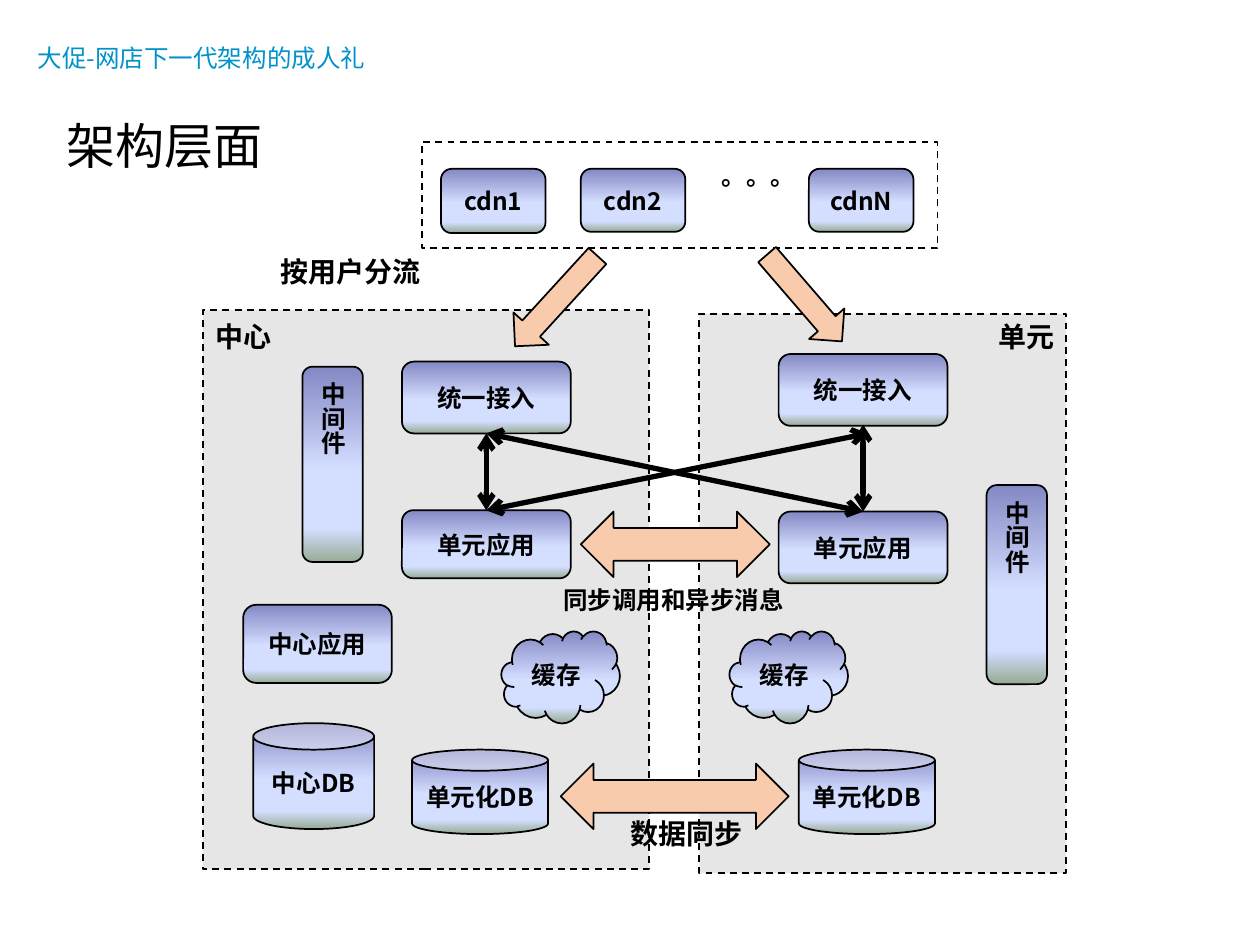
import pptx
import pptx.util
from lxml import etree
from pptx.dml.color import RGBColor
from pptx.enum.dml import MSO_LINE
from pptx.enum.shapes import MSO_CONNECTOR, MSO_SHAPE
from pptx.enum.text import MSO_ANCHOR, MSO_AUTO_SIZE, PP_ALIGN
from pptx.oxml.ns import qn
from pptx.util import Inches, Pt

FONT = "Noto Sans CJK SC"
COLORS = {
    "ink": "000000", "head": "0092CA", "zone": "E7E6E6", "arrow": "F8CBAD",
    "top": "8488C4", "mid": "D4DEFF", "end": "96AB94",
}
STOPS = [(0, "top"), (53, "mid"), (83, "mid"), (100, "end")]
ROUND, CAN, CLOUD = MSO_SHAPE.ROUNDED_RECTANGLE, MSO_SHAPE.CAN, MSO_SHAPE.CLOUD


def rgb(name):
    return RGBColor.from_string(COLORS[name])


def write(frame, text, size, color="ink", bold=True, align=PP_ALIGN.LEFT):
    para = frame.paragraphs[0]
    para.alignment = align
    run = para.add_run()
    run.text = text
    font = run.font
    font.name, font.size, font.bold = FONT, Pt(size), bold
    font.color.rgb = rgb(color)
    etree.SubElement(run._r.get_or_add_rPr(), qn("a:ea")).set("typeface", FONT)
    return para


def label(slide, box, text, size=16, color="ink", bold=True, wrap=False):
    frame = slide.shapes.add_textbox(*map(Inches, box)).text_frame
    frame.word_wrap = wrap
    write(frame, text, size, color, bold)


def add_box(slide, kind, box, fill=None, dash=False):
    """Add an outlined shape with a plain fill, or none."""
    shape = slide.shapes.add_shape(kind, *map(Inches, box))
    shape.shadow.inherit = False
    shape.line.color.rgb = rgb("ink")
    shape.line.width = Pt(1)
    if dash:
        shape.line.dash_style = MSO_LINE.DASH
    if fill:
        shape.fill.solid()
        shape.fill.fore_color.rgb = rgb(fill)
    else:
        shape.fill.background()
    return shape


def shade(shape):
    """Fill from top to bottom with the four stops."""
    shape.fill.gradient()
    shape.fill.gradient_angle = 270
    stops = shape._element.spPr.find(".//" + qn("a:gsLst"))
    for old in list(stops):
        stops.remove(old)
    for pos, name in STOPS:
        stop = etree.SubElement(stops, qn("a:gs"), pos=str(pos * 1000))
        etree.SubElement(stop, qn("a:srgbClr"), val=COLORS[name])


def add_node(slide, kind, box, text, upright=False):
    shape = add_box(slide, kind, box)
    shade(shape)
    frame = shape.text_frame
    frame.word_wrap = True
    frame.vertical_anchor = MSO_ANCHOR.MIDDLE
    if upright:
        frame._txBody.bodyPr.set("vert", "eaVert")
    write(frame, text, 14, align=PP_ALIGN.LEFT if upright else PP_ALIGN.CENTER)


def add_link(slide, start, end):
    """Add a thick line with an arrowhead at both ends."""
    link = slide.shapes.add_connector(
        MSO_CONNECTOR.STRAIGHT, *map(Inches, start + end))
    link.line.color.rgb = rgb("ink")
    link.line.width = Pt(3)
    line = link.line._get_or_add_ln()
    for tag in ("a:headEnd", "a:tailEnd"):
        etree.SubElement(line, qn(tag), type="arrow")
    etree.SubElement(link._element.spPr, qn("a:effectLst"))


def add_head(slide, box):
    x, y, w, h = box
    label(slide, (x, y, 2.89, 0.34), "大促-网店下一代架构的成人礼",
          14, "head", False, True)
    title = slide.shapes.title
    title.left, title.top = Inches(x + 0.23), Inches(y + 0.63)
    title.width, title.height = Inches(w), Inches(h)
    frame = title.text_frame
    frame.word_wrap = True
    frame.auto_size = MSO_AUTO_SIZE.NONE
    frame.vertical_anchor = MSO_ANCHOR.TOP
    para = write(frame, "架构层面", 28, bold=False)
    para.line_spacing = 0.9
    para.space_before = Pt(10)


def add_zone(slide, box, name, spot, parts):
    """Add a dashed zone, its name at spot, and its parts."""
    x, y = box[:2]
    add_box(slide, MSO_SHAPE.RECTANGLE, box, "zone", True)
    dx, dy, w, h = spot
    label(slide, (x + dx, y + dy, w, h), name, wrap=w > 0.7)
    for kind, text, (dx, dy, w, h) in parts:
        add_node(slide, kind, (x + dx, y + dy, w, h), text, text == "中间件")


def add_cdns(slide, box):
    x, y = box[:2]
    add_box(slide, MSO_SHAPE.RECTANGLE, box, dash=True)
    for text, dx, h in [("cdn1", 0.15, 0.51), ("cdn2", 1.26, 0.5),
                        ("cdnN", 3.07, 0.5)]:
        add_node(slide, ROUND, (x + dx, y + 0.21, 0.83, h), text)
    label(slide, (x + 2.28, y + 0.1, 0.79, 0.34), "。。。", 14)


def add_flows(slide, box):
    """Add the block arrows, their labels and the cross links."""
    x, y = box[:2]
    left, both = MSO_SHAPE.LEFT_ARROW, MSO_SHAPE.LEFT_RIGHT_ARROW
    for kind, turn, (dx, dy, w, h) in [
            (left, 229.2, (4.32, -0.28, 0.91, 0.37)),
            (left, 312.4, (2.32, -0.26, 0.97, 0.38)),
            (both, 0, (2.84, 3.6, 1.81, 0.52)),
            (both, 0, (3, 1.6, 1.5, 0.52))]:
        add_box(slide, kind, (x + dx, y + dy, w, h), "arrow").rotation = turn
    for text, size, (dx, dy, w, h) in [
            ("按用户分流", 16, (0.52, -0.49, 1.34, 0.37)),
            ("同步调用和异步消息", 14, (2.76, 2.13, 1.98, 0.34)),
            ("数据同步", 16, (3.3, 3.97, 1.1, 0.37))]:
        label(slide, (x + dx, y + dy, w, h), text, size)
    near, far = x + 2.25, x + 5.24
    for start, end in [((near, y + 0.98), (near, y + 1.59)),
                       ((near, y + 0.98), (far, y + 1.6)),
                       ((far + 0.04, y + 0.98), (near, y + 1.59)),
                       ((far, y + 0.91), (far, y + 1.6))]:
        add_link(slide, start, end)


def main():
    deck = pptx.Presentation()
    deck.slide_width, deck.slide_height = Inches(10), Inches(7.5)
    slide = deck.slides.add_slide(deck.slide_layouts[5])
    add_head(slide, (0.2, 0.29, 9.21, 6.19))
    add_zone(slide, (5.55, 2.49, 2.91, 4.44), "单元", (2.28, 0, 0.75, 0.37), [
        (ROUND, "统一接入", (0.63, 0.32, 1.34, 0.57)),
        (ROUND, "单元应用", (0.63, 1.57, 1.34, 0.57)),
        (ROUND, "中间件", (2.28, 1.36, 0.48, 1.58)),
        (CLOUD, "缓存", (0.24, 2.52, 0.94, 0.73)),
        (CAN, "单元化DB", (0.79, 3.46, 1.08, 0.67)),
    ])
    add_zone(slide, (1.61, 2.46, 3.54, 4.44), "中心", (0, 0.03, 0.66, 0.37), [
        (ROUND, "统一接入", (1.58, 0.41, 1.34, 0.57)),
        (ROUND, "单元应用", (1.58, 1.59, 1.34, 0.54)),
        (ROUND, "中间件", (0.79, 0.45, 0.48, 1.55)),
        (ROUND, "中心应用", (0.32, 2.34, 1.18, 0.62)),
        (CLOUD, "缓存", (2.37, 2.55, 0.94, 0.73)),
        (CAN, "中心DB", (0.4, 3.28, 0.96, 0.84)),
        (CAN, "单元化DB", (1.66, 3.49, 1.08, 0.67)),
    ])
    add_cdns(slide, (3.35, 1.13, 4.09, 0.84))
    add_flows(slide, (1.61, 2.46, 6.85, 4.47))
    deck.save("out.pptx")


if __name__ == "__main__":
    main()
